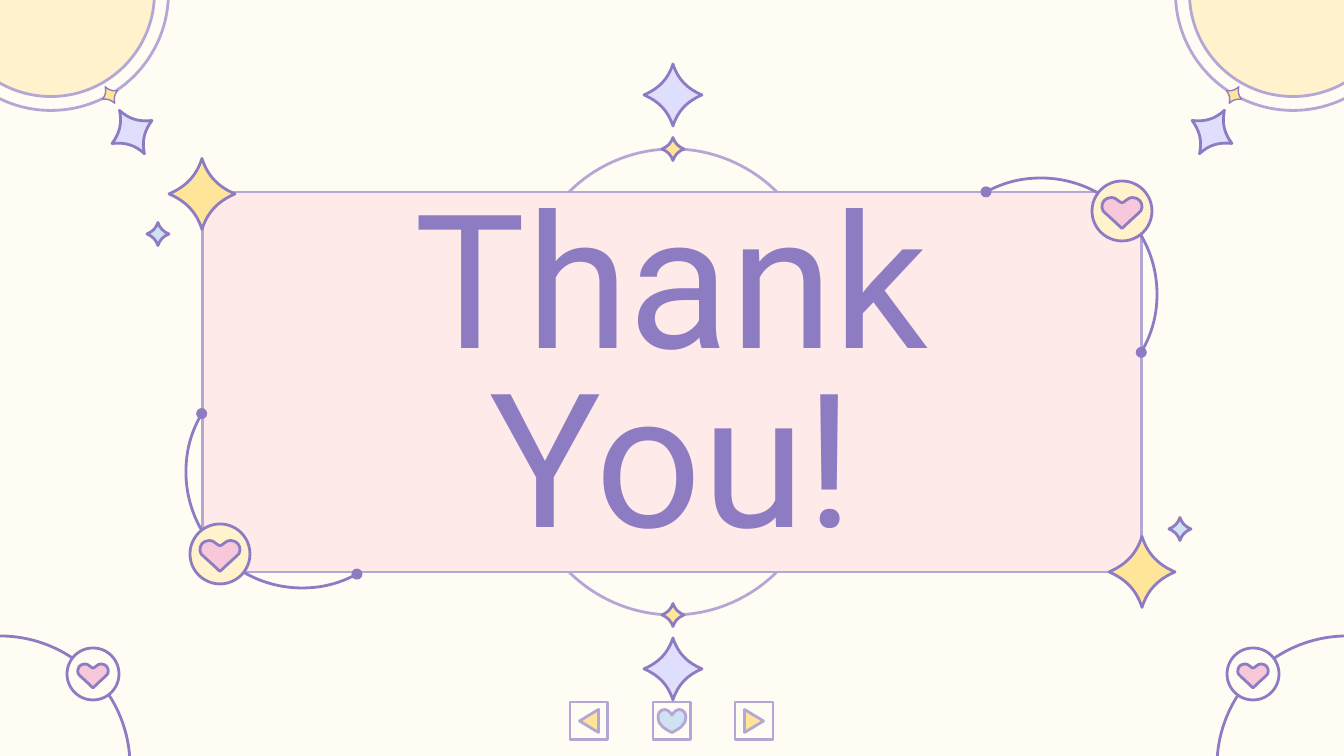
from lxml.etree import SubElement
from pptx import Presentation
from pptx.dml.color import RGBColor
from pptx.enum.shapes import MSO_SHAPE
from pptx.enum.text import MSO_ANCHOR, PP_ALIGN
from pptx.oxml.ns import qn
from pptx.util import Emu, Pt

WIDTH, HEIGHT = 1344, 756
PURPLE, LILAC, LAVENDER = "8E7CC3", "B4A7D6", "DFDEFC"
CREAM, BUTTER, GOLD = "FFFCF4", "FFF2CC", "FFE599"
BLUSH, PINK, SKY = "FFEAEA", "F6C8D9", "CFE2F3"


def px(value):
    return Emu(round(value * 914400 / 134.4))


def color(value):
    return RGBColor.from_string(value)


def mirror(half):
    return half + [(-x, y) for x, y in reversed(half[:-1])]


STAR = mirror([(0, 0), (-.17, .25), (-.5, .4), (-1, .5),
               (-.5, .6), (-.17, .75), (0, 1)])
HEART = mirror([(0, .17), (-.06, .17), (-.12, .13), (-.2, .09),
                (-.3, .03), (-.4, 0), (-.5, 0),
                (-.66, 0), (-.78, .05), (-.85, .1),
                (-1, .22), (-1, .43), (-.77, .52),
                (-.5, .68), (-.25, .84), (0, 1)])
ROUND_HEART = mirror([(0, .24), (-.2, .05), (-.35, 0), (-.5, 0),
                      (-.8, 0), (-1, .18), (-.95, .36),
                      (-.95, .7), (-.4, .88), (0, 1)])


def bend(shape):
    segments = list(shape._element.iter(qn("a:lnTo")))
    for first in range(0, len(segments), 3):
        start, *others = segments[first:first + 3]
        start.tag = qn("a:cubicBezTo")
        for segment in others:
            start.append(segment[0])
            segment.getparent().remove(segment)


def write(box, words, size, ink, font="Roboto", spacing=0.8):
    frame = box.text_frame
    frame.word_wrap = True
    frame.vertical_anchor = MSO_ANCHOR.MIDDLE
    frame.margin_left = frame.margin_right = px(13)
    frame.margin_top = frame.margin_bottom = px(13)
    para = frame.paragraphs[0]
    para.alignment = PP_ALIGN.CENTER
    para.line_spacing = spacing
    span = para.add_run()
    span.text = words
    span.font.name = font
    span.font.size = Pt(size)
    span.font.color.rgb = color(ink)


class Painter:
    def __init__(self, page):
        self.page = page

    def style(self, shape, fill, line, weight, angle):
        shape.shadow.inherit = False
        if fill:
            shape.fill.solid()
            shape.fill.fore_color.rgb = color(fill)
        else:
            shape.fill.background()
        shape.line.color.rgb = color(line)
        shape.line.width = Pt(weight)
        shape.rotation = angle
        return shape

    def preset(self, kind, x, y, width, height, fill=None, line=PURPLE, angle=0):
        shape = self.page.shapes.add_shape(
            kind, px(x - width / 2), px(y - height / 2), px(width), px(height))
        return self.style(shape, fill, line, 1.5, angle)

    def rectangle(self, x, y, width, height, fill):
        return self.preset(MSO_SHAPE.RECTANGLE, x, y, width, height, fill, LILAC)

    def circle(self, x, y, size, fill=None, line=PURPLE):
        return self.preset(MSO_SHAPE.OVAL, x, y, size, size, fill, line)

    def arc(self, x, y, size, start, end, line=PURPLE, dots=False):
        shape = self.preset(MSO_SHAPE.ARC, x, y, size, size, None, line)
        for index, degrees in enumerate((start, end)):
            shape.adjustments[index] = degrees * 0.6
        if dots:
            for tag in ("a:headEnd", "a:tailEnd"):
                SubElement(shape.line._get_or_add_ln(), qn(tag), type="oval")

    def outline(self, points, x, y, width, height, fill,
                line=PURPLE, weight=1.5, angle=0):
        corners = [(px(x + u * width / 2), px(y + (v - 0.5) * height))
                   for u, v in points]
        builder = self.page.shapes.build_freeform(*corners[0], scale=1.0)
        builder.add_line_segments(corners[1:], close=True)
        shape = builder.convert_to_shape()
        bend(shape)
        self.style(shape, fill, line, weight, angle)

    def star(self, x, y, width, height, fill, **look):
        self.outline(STAR, x, y, width, height, fill, **look)

    def badge(self, x, y, size, fill, width, height):
        self.circle(x, y, size, fill)
        self.outline(HEART, x, y + 2, width, height, PINK)

    def button(self, x, y):
        self.rectangle(x, y, 38, 38, CREAM)

    def text(self, x, y, width, height, words, **look):
        box = self.page.shapes.add_textbox(px(x), px(y), px(width), px(height))
        write(box, words, **look)


def main():
    deck = Presentation()
    deck.slide_width, deck.slide_height = px(WIDTH), px(HEIGHT)
    page = deck.slides.add_slide(deck.slide_layouts[6])
    page.background.fill.solid()
    page.background.fill.fore_color.rgb = color(CREAM)
    painter = Painter(page)

    for arc_y, start, small_y, large_y in ((296, 225, 149, 95), (468, 45, 615, 669)):
        painter.arc(673, arc_y, 294, start, start + 90, LILAC)
        painter.star(673, small_y, 22, 23, GOLD)
        painter.star(673, large_y, 58, 62, LAVENDER)

    painter.rectangle(672, 382, 939, 380, BLUSH)

    for ring_x, badge_x in ((1347, 1253), (0, 93)):
        painter.circle(ring_x, 766, 260)
        painter.badge(badge_x, 674, 52, CREAM, 32, 24)

    for arc_x, arc_y, start, end, badge_x, badge_y in (
            (1041, 294, 241.7, 30.2, 1122, 211),
            (302, 472, 61.7, 210.2, 220, 554)):
        painter.arc(arc_x, arc_y, 232, start, end, dots=True)
        painter.badge(badge_x, badge_y, 60, BUTTER, 42, 31)

    for x, y in ((202, 194), (1142, 572)):
        painter.star(x, y, 66, 71, GOLD)
    for x, y in ((1180, 529), (158, 234)):
        painter.star(x, y, 22, 23, SKY)

    middle = WIDTH // 2
    for side, start, end in ((1, 44, 196.4), (-1, 343.6, 136)):
        painter.circle(middle + side * 621, -7, 207, BUTTER, LILAC)
        painter.arc(middle + side * 621, -7, 235, start, end, LILAC, dots=True)
        painter.star(middle + side * 562, 95, 17, 19, GOLD,
                     weight=0.75, angle=side * 30)
        painter.star(middle + side * 540, 132, 46, 50, LAVENDER, angle=side * 30)

    painter.text(251, 198, 841, 372, "Thank You!", size=100, ink=PURPLE)

    for x, angle in ((589, 270), (754, 90)):
        painter.button(x, 721)
        painter.preset(MSO_SHAPE.ISOSCELES_TRIANGLE, x, 721, 23, 19,
                       GOLD, LILAC, angle)
    painter.button(672, 721)
    painter.outline(ROUND_HEART, 672, 721, 29, 23, SKY, line=LILAC)

    deck.save("out.pptx")


if __name__ == "__main__":
    main()
